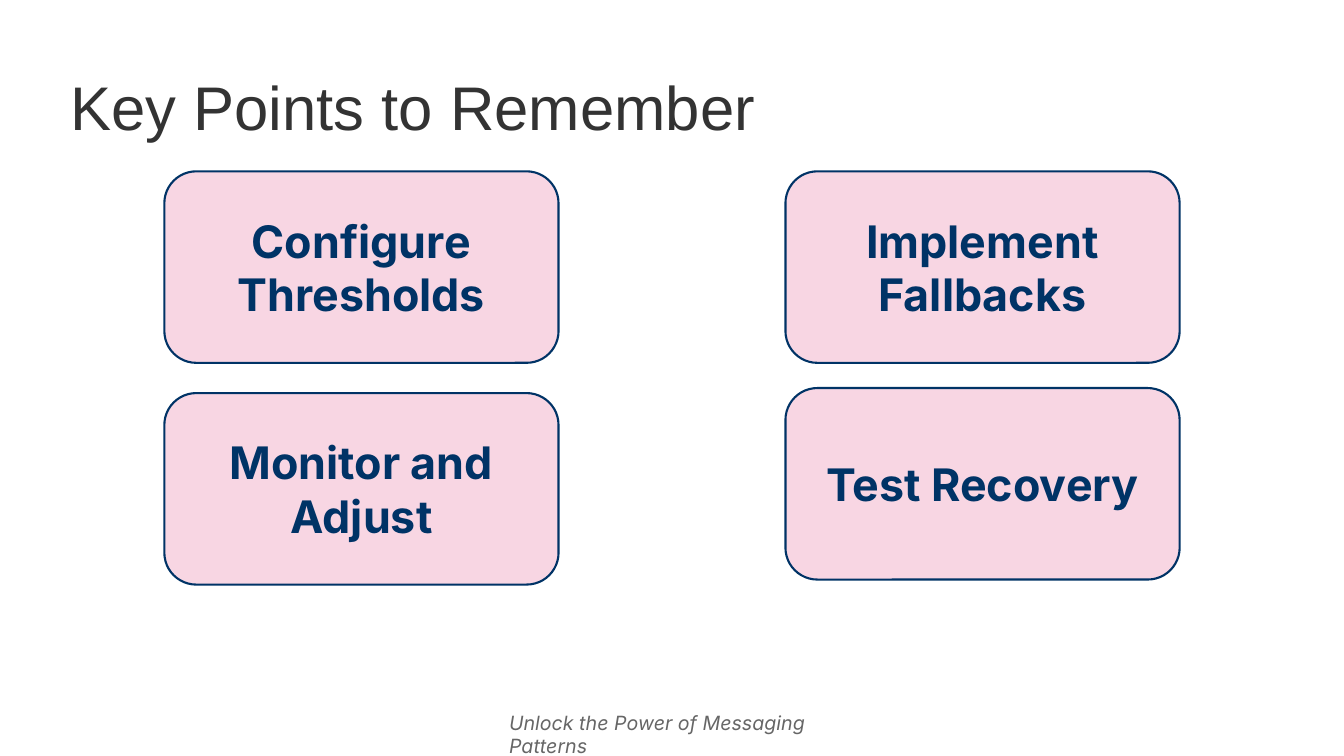
from lxml.etree import SubElement
from pptx import Presentation
from pptx.dml.color import RGBColor
from pptx.enum.shapes import MSO_SHAPE
from pptx.enum.text import MSO_ANCHOR, PP_ALIGN
from pptx.oxml.ns import qn
from pptx.util import Pt

PX = 9144
COLORS = {"title": "333333", "footer": "666666", "card": "DD3377", "navy": "003366"}
CARD_W, CARD_H = 391, 190
CARDS = [
    ("Configure Thresholds", 163, 170),
    ("Implement Fallbacks", 779, 170),
    ("Monitor and Adjust", 163, 390),
    ("Test Recovery", 779, 385),
]


def rgb(name):
    """Return the named colour."""
    return RGBColor.from_string(COLORS[name])


def box(x, y, w, h):
    """Convert a px rectangle to EMU."""
    return [v * PX for v in (x, y, w, h)]


def write(sp, text, size, font, color, anchor=MSO_ANCHOR.TOP, align=PP_ALIGN.LEFT):
    """Put one styled paragraph in a shape and return it."""
    tf = sp.text_frame
    tf.word_wrap = True
    tf.vertical_anchor = anchor
    tf.text = text
    p = tf.paragraphs[0]
    p.alignment = align
    r = p.runs[0]
    r.font.size = Pt(size)
    r.font.name = font
    r.font.color.rgb = rgb(color)
    return p


def add_title(s, text):
    """Add the slide heading."""
    sp = s.shapes.add_textbox(*box(60, 50, 1214, 120))
    p = write(sp, text, 44, "Arial", "title", MSO_ANCHOR.MIDDLE)
    p.line_spacing = 0.9


def add_footer(s, text):
    """Add the italic footer line."""
    sp = s.shapes.add_textbox(*box(495, 700, 342, 34))
    p = write(sp, text, 14, "Inter", "footer")
    p.runs[0].font.italic = True


def add_card(s, text, x, y):
    """Add a rounded key point card with a translucent fill."""
    sp = s.shapes.add_shape(MSO_SHAPE.ROUNDED_RECTANGLE, *box(x, y, CARD_W, CARD_H))
    sp.shadow.inherit = False
    sp.fill.solid()
    sp.fill.fore_color.rgb = rgb("card")
    color = sp._element.spPr.find(qn("a:solidFill")).find(qn("a:srgbClr"))
    SubElement(color, qn("a:alpha"), val="20000")
    sp.line.color.rgb = rgb("navy")
    sp.line.width = Pt(1.5)
    p = write(sp, text, 32, "Inter", "navy", MSO_ANCHOR.MIDDLE, PP_ALIGN.CENTER)
    p.runs[0].font.bold = True


def main():
    """Build and save the slide."""
    prs = Presentation()
    prs.slide_width, prs.slide_height = 1333 * PX, 750 * PX
    s = prs.slides.add_slide(prs.slide_layouts[6])
    add_footer(s, "Unlock the Power of Messaging Patterns")
    add_title(s, "Key Points to Remember")
    for text, x, y in CARDS:
        add_card(s, text, x, y)
    prs.save("out.pptx")


if __name__ == "__main__":
    main()
